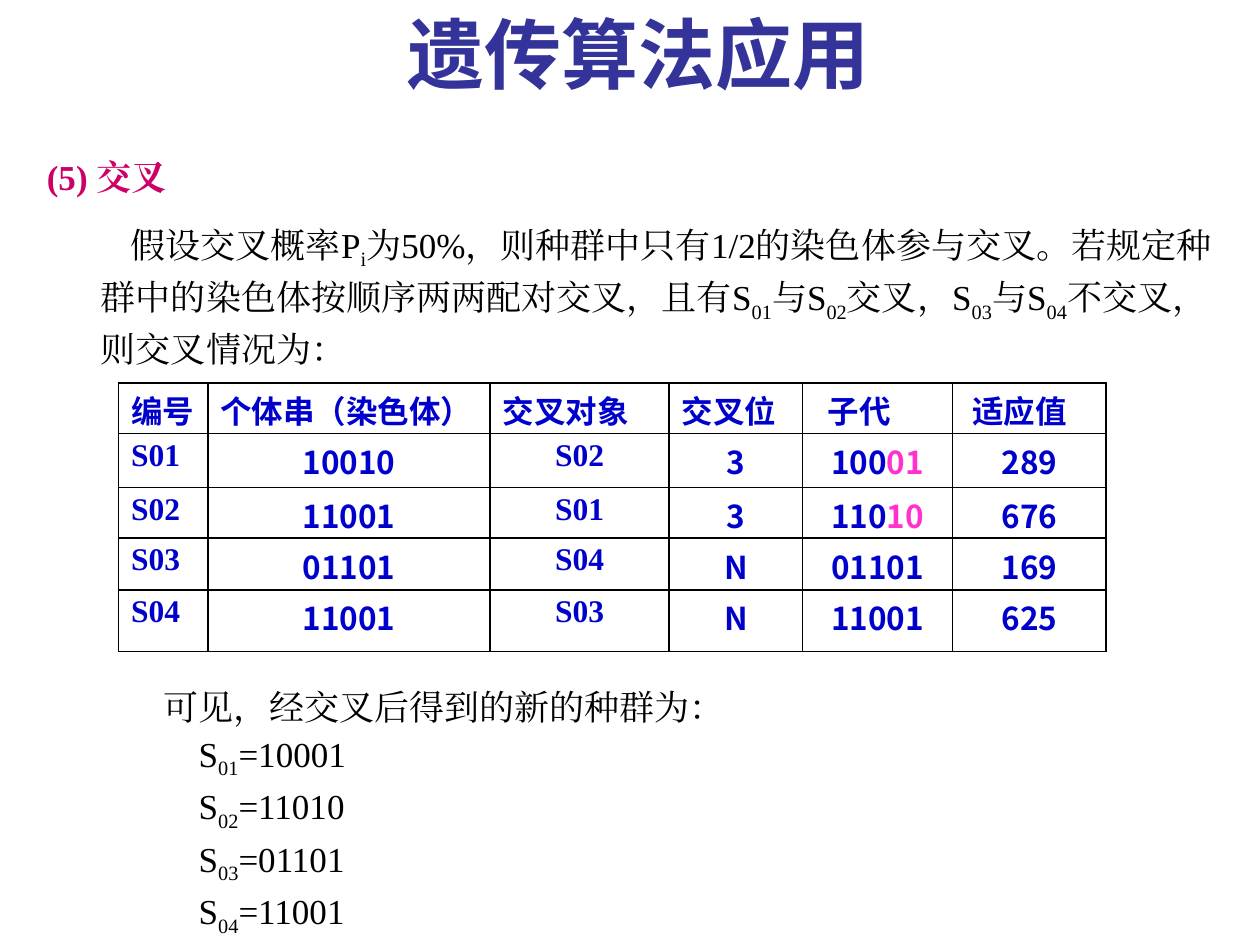
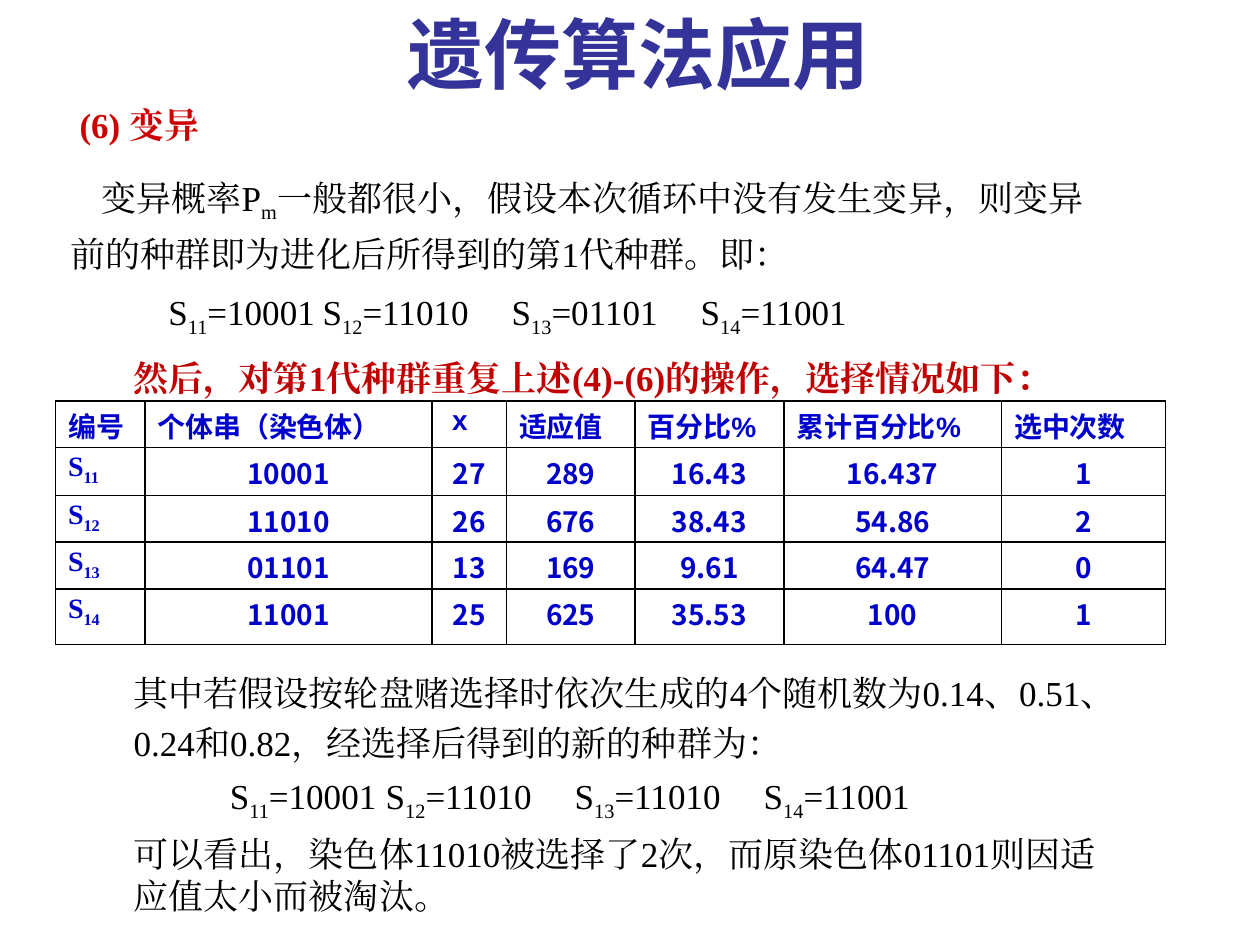
from lxml.etree import SubElement
from pptx import Presentation
from pptx.dml.color import RGBColor
from pptx.enum.text import MSO_ANCHOR, MSO_AUTO_SIZE, PP_ALIGN
from pptx.oxml import parse_xml
from pptx.oxml.ns import nsdecls, qn
from pptx.util import Cm, Pt

# Shared look
SERIF, CJK = "Times New Roman", "Noto Sans CJK SC"
TITLE = {"size": 44, "bold": True, "name": "Noto Sans CJK JP", "color": "333399"}
PLAIN = {"size": 20, "bold": False, "name": SERIF, "color": "000000"}
CELL = {"size": 18, "bold": True, "name": CJK, "color": "0000CC"}
SUBSCRIPT = {"baseline": "-25000"}
PINK = {"color": "FF33CC"}
BORDER = ('<a:{} %s w="12700"><a:solidFill><a:srgbClr val="000000"/>'
          '</a:solidFill></a:{}>' % nsdecls("a"))


def write(para, text, style, marked=SUBSCRIPT):
    """Add text to a paragraph; parts in [brackets] also take the marked style."""
    for index, piece in enumerate(text.replace("]", "[").split("[")):
        if not piece:
            continue
        look = {**style, **(marked if index % 2 else {})}
        span = para.add_run()
        span.text = piece
        for key, value in {"size": Pt(look["size"]), "bold": look["bold"],
                           "name": look["name"]}.items():
            setattr(span.font, key, value)
        span.font.color.rgb = RGBColor.from_string(look["color"])
        properties = span._r.get_or_add_rPr()
        if "baseline" in look:
            properties.set("baseline", look["baseline"])
        east_asian = look.get("east_asian", look["name"])
        SubElement(properties, qn("a:ea")).set("typeface", east_asian)


def indent(para, left, first=0):
    """Set the left margin and first-line indent, in centimetres."""
    properties = para._p.get_or_add_pPr()
    properties.set("marL", str(Cm(left)))
    properties.set("indent", str(Cm(first)))
    return properties


# Body paragraphs: text, left margin, first-line indent, line spacing,
# space before, changed format, tab stops
crossover_lines = [
    ("(5) 交叉", 0.18, 0, 1.1, 0, {"color": "CC0066", "bold": True}, []),
    ("假设交叉概率P[i]为50%，则种群中只有1/2的染色体参与交叉。若规定种群中的染色体按顺序"
     "两两配对交叉，且有S[01]与S[02]交叉，S[03]与S[04]不交叉，则交叉情况为：",
     1.27, 0.6, 1.1, 12, {}, []),
    ("可见，经交叉后得到的新的种群为：", 2.54, 0, 1.1, 178, {}, []),
]
for number, genes in enumerate(["10001", "11010", "01101", "11001"], start=1):
    crossover_lines.append((f"S[0{number}]={genes}", 2.54, 0.7, 1.1, 0, {}, []))

mutation_lines = [
    ("(6) 变异", 0.18, 0, 1, 0, {"color": "CC0000", "bold": True}, []),
    ("变异概率P[m]一般都很小，假设本次循环中没有发生变异，则变异前的种群即为进化后所得到的"
     "第1代种群。即：", 0, 0.62, 1.2, 12, {}, []),
    ("S[11]=10001\tS[12]=11010\tS[13]=01101\tS[14]=11001",
     0, 1.97, 1.35, 0, {}, [5.97, 10.16, 14.7]),
    ("然后，对第1代种群重复上述(4)-(6)的操作，选择情况如下：",
     1.27, 0, 1, 10.4, {"color": "C00000", "bold": True}, []),
    ("其中若假设按轮盘赌选择时依次生成的4个随机数为0.14、0.51、0.24和0.82，"
     "经选择后得到的新的种群为：", 1.27, 0, 1.2, 151, {}, []),
    ("S[11]=10001\tS[12]=11010\tS[13]=11010\tS[14]=11001",
     0, 3.21, 1, 6, {}, [7.39, 11.58, 15.93]),
    ("可以看出，染色体11010被选择了2次，而原染色体01101则因适应值太小而被淘汰。",
     1.27, 0, 1, 6, {}, []),
]

# Tables
crossover_table = {
    "place": (2.39, 7.72), "size": 18, "marked": PINK, "serif": (0, 2),
    "columns": [1.8, 5.69, 3.61, 2.69, 3.02, 3.1],
    "rows": [1.02, 1.09, 1.02, 1.04, 1.24],
    "header_indents": {4: 0.25, 5: 0.15},
    "cells": [
        ["编号", "个体串（染色体）", "交叉对象", "交叉位", "子代", "适应值"],
        ["S01", "10010", "S02", "3", "100[01]", "289"],
        ["S02", "11001", "S01", "3", "110[10]", "676"],
        ["S03", "01101", "S04", "N", "01101", "169"],
        ["S04", "11001", "S03", "N", "11001", "625"],
    ],
}
selection_table = {
    "place": (1.12, 8.08), "size": 16, "marked": SUBSCRIPT, "serif": (0,),
    "columns": [1.8, 5.79, 1.5, 2.59, 3, 4.39, 3.3],
    "rows": [0.94, 0.97, 0.94, 0.94, 1.12],
    "header_indents": {2: 0.15},
    "cells": [
        ["编号", "个体串（染色体）", "x", "适应值", "百分比%", "累计百分比%", "选中次数"],
        ["S[11]", "10001", "27", "289", "16.43", "16.437", "1"],
        ["S[12]", "11010", "26", "676", "38.43", "54.86", "2"],
        ["S[13]", "01101", "13", "169", "9.61", "64.47", "0"],
        ["S[14]", "11001", "25", "625", "35.53", "100", "1"],
    ],
}

deck = Presentation()
deck.slide_width, deck.slide_height = Cm(25.4), Cm(19.05)

pages = [
    ((0.51, 2.92, 24.41, 15.67), crossover_lines, crossover_table),
    ((1.17, 1.96, 21.62, 16.64), mutation_lines, selection_table),
]
for body_place, lines, content in pages:
    page = deck.slides.add_slide(deck.slide_layouts[1])
    title, body = page.shapes.title, page.placeholders[1]

    # Placeholders
    for box, place in ((title, (5.12, 0, 15.5, 2.13)), (body, body_place)):
        for side, length in zip(("left", "top", "width", "height"), place):
            setattr(box, side, Cm(length))
        box.text_frame.auto_size = MSO_AUTO_SIZE.NONE
        box.text_frame.word_wrap = True
    title.text_frame.margin_top = title.text_frame.margin_bottom = 0
    title.text_frame.vertical_anchor = MSO_ANCHOR.MIDDLE
    heading = title.text_frame.paragraphs[0]
    heading.alignment = PP_ALIGN.CENTER
    write(heading, "遗传算法应用", TITLE)

    # Body text
    frame = body.text_frame
    for index, (text, left, first, spacing, before, changes, stops) in enumerate(lines):
        para = frame.add_paragraph() if index else frame.paragraphs[0]
        para.line_spacing, para.space_before = spacing, Pt(before)
        properties = indent(para, left, first)
        SubElement(properties, qn("a:buNone"))
        if stops:
            tabs = SubElement(properties, qn("a:tabLst"))
            for stop in stops:
                tab = SubElement(tabs, qn("a:tab"))
                tab.set("pos", str(Cm(stop)))
                tab.set("algn", "l")
        write(para, text, {**PLAIN, **changes})

    # Table
    columns, rows = content["columns"], content["rows"]
    left, top = content["place"]
    table = page.shapes.add_table(len(rows), len(columns), Cm(left), Cm(top),
                                  Cm(sum(columns)), Cm(sum(rows))).table
    table.first_row = table.horz_banding = False
    for column, width in zip(table.columns, columns):
        column.width = Cm(width)
    for row, height in zip(table.rows, rows):
        row.height = Cm(height)
    for r, values in enumerate(content["cells"]):
        for c, value in enumerate(values):
            cell = table.cell(r, c)
            cell.fill.background()
            cell.margin_top, cell.margin_bottom = Pt(2.5), 0
            for position, edge in enumerate(("lnL", "lnR", "lnT", "lnB")):
                cell._tc.get_or_add_tcPr().insert(
                    position, parse_xml(BORDER.format(edge, edge)))
            para = cell.text_frame.paragraphs[0]
            style = {**CELL, "size": content["size"]}
            if r == 0:
                style.update(name="Arial", east_asian=CJK)
                indent(para, content["header_indents"].get(c, 0))
            elif c in content["serif"]:
                style["name"] = SERIF
            if r and c:
                para.alignment = PP_ALIGN.CENTER
            write(para, value, style, content["marked"])

deck.save("out.pptx")
